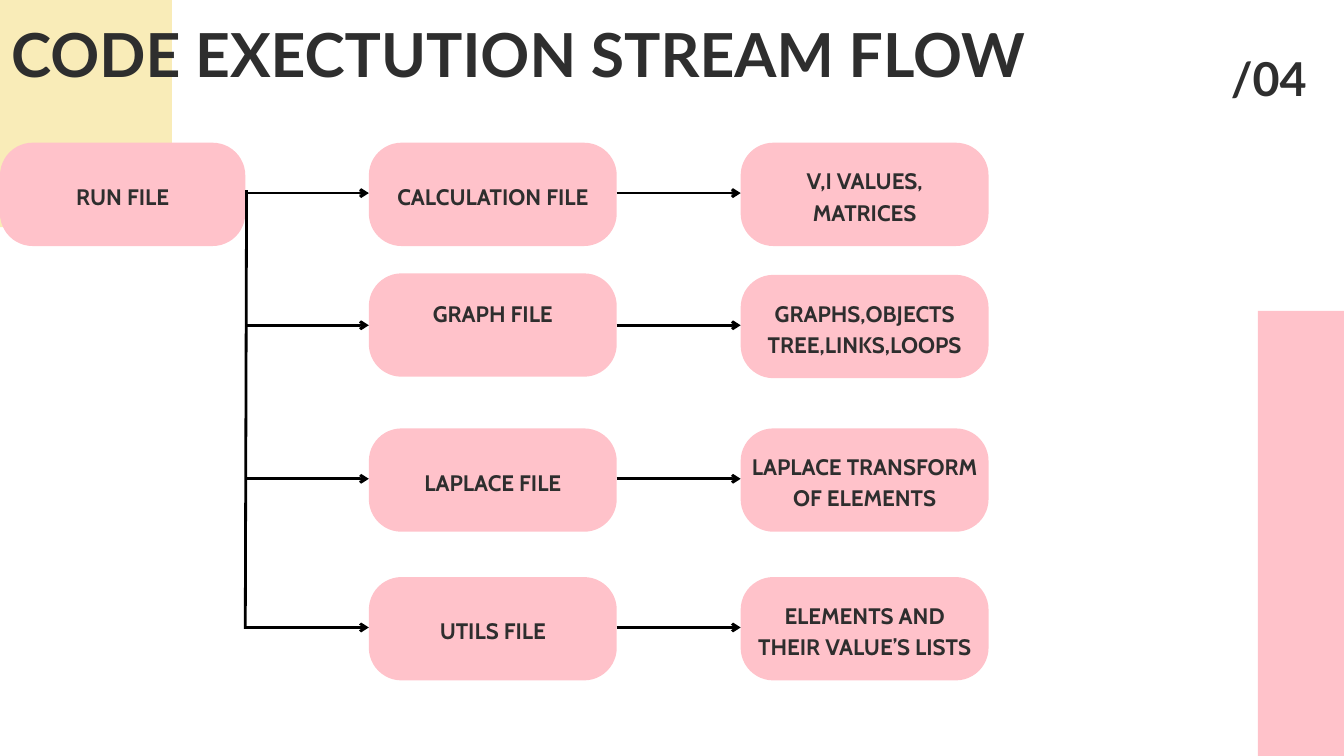
import pptx
import pptx.util
import pptx.dml.color
import pptx.enum.shapes
import pptx.enum.text
import pptx.oxml.ns
import lxml.etree

Pt = pptx.util.Pt
Shape = pptx.enum.shapes.MSO_SHAPE
Align = pptx.enum.text.PP_ALIGN
Anchor = pptx.enum.text.MSO_ANCHOR

COLORS = {"ink": "2E2E2E", "pink": "FFC2CA", "cream": "F9ECB8", "line": "000000"}
FORMATS = {
    "title": {"name": "Lato", "size": Pt(65), "bold": True},
    "page": {"name": "Lato", "size": Pt(50), "bold": True},
    "box": {"name": "Cabin", "size": Pt(24), "bold": True},
}
LEADS = {"title": 91, "page": 70, "box": 33.6}

COLS = (0, 395.2, 793.6)
WIDTH, HEIGHT, RADIUS = 265.6, 110.7, 35
RUN_WIDTH = 262.8
PORT = 54  # drop from the top of a box to its arrow
# top of file box, top of result box, file, result lines, room under file label
ROWS = (
    (152.9, 152.9, "CALCULATION FILE", ("V,I VALUES,", "MATRICES"), 0),
    (292.9, 294.5, "GRAPH FILE", ("GRAPHS,OBJECTS", "TREE,LINKS,LOOPS"), 29),
    (459, 459, "LAPLACE FILE", ("LAPLACE TRANSFORM", "OF ELEMENTS"), 0),
    (618.3, 618.3, "UTILS FILE", ("ELEMENTS AND", "THEIR VALUE’S LISTS"), 0),
)


def color(key):
    return pptx.dml.color.RGBColor.from_string(COLORS[key])


def write(shape, lines, style, align, anchor=Anchor.TOP, below=0):
    frame = shape.text_frame
    frame.text = "\n".join(lines)
    settings = {
        "margin_left": 0, "margin_right": 0, "margin_top": 0,
        "margin_bottom": Pt(below), "word_wrap": False,
        "auto_size": pptx.enum.text.MSO_AUTO_SIZE.NONE,
        "vertical_anchor": anchor,
    }
    for key, value in settings.items():
        setattr(frame, key, value)
    for para in frame.paragraphs:
        para.alignment = align
        para.line_spacing = Pt(LEADS[style])
        para.space_before = Pt(0)
        for run in para.runs:
            for key, value in FORMATS[style].items():
                setattr(run.font, key, value)
            run.font.color.rgb = color("ink")


def add_block(slide, kind, fill, left, top, width, height):
    shape = slide.shapes.add_shape(kind, Pt(left), Pt(top), Pt(width), Pt(height))
    shape.shadow.inherit = False
    shape.fill.solid()
    shape.fill.fore_color.rgb = color(fill)
    shape.line.fill.background()
    return shape


def add_box(slide, left, top, lines, width=WIDTH, below=0):
    box = add_block(slide, Shape.ROUNDED_RECTANGLE, "pink", left, top, width, HEIGHT)
    box.adjustments[0] = RADIUS / HEIGHT
    write(box, lines, "box", Align.CENTER, Anchor.MIDDLE, below)


def add_line(slide, start, end, arrow=False):
    line = slide.shapes.add_connector(
        pptx.enum.shapes.MSO_CONNECTOR.STRAIGHT, *map(Pt, start + end))
    line.line.color.rgb = color("line")
    line.line.width = Pt(3)
    qn = pptx.oxml.ns.qn
    props = line.element.spPr
    if arrow:
        lxml.etree.SubElement(props.find(qn("a:ln")), qn("a:tailEnd"), type="arrow")
    lxml.etree.SubElement(props, qn("a:effectLst"))


def add_title(slide, text):
    """Fill the title and bring it in front of the blocks drawn so far."""
    title = slide.shapes.title
    place = {"left": 12, "top": 5, "width": 1110, "height": 91}
    for key, value in place.items():
        setattr(title, key, Pt(value))
    write(title, [text], "title", Align.LEFT)
    title.element.getparent().append(title.element)


def add_page(slide, text):
    page = slide.shapes.add_textbox(Pt(1294.6), Pt(43.2), Pt(129.6), Pt(70))
    write(page, [text], "page", Align.CENTER)


def add_flow(slide):
    _, file_left, result_left = COLS
    add_box(slide, COLS[0], ROWS[0][0], ["RUN FILE"], RUN_WIDTH)
    for top, result_top, file, result, below in ROWS:
        add_box(slide, file_left, top, [file], below=below)
        add_box(slide, result_left, result_top, result)
        y = result_top + PORT
        for start, end in ((RUN_WIDTH, file_left), (file_left + WIDTH, result_left)):
            add_line(slide, (start, y), (end, y), arrow=True)
    add_line(slide, (RUN_WIDTH, 673.8), (264.2, 203.8))


def main():
    deck = pptx.Presentation()
    deck.slide_width, deck.slide_height = Pt(1440), Pt(810)
    slide = deck.slides.add_slide(deck.slide_layouts[5])
    add_block(slide, Shape.RECTANGLE, "cream", 0, 0, 184.3, 243.4)
    add_block(slide, Shape.RECTANGLE, "pink", 1347.8, 333, 92.2, 477)
    add_page(slide, "/04")
    add_title(slide, "CODE EXECTUTION STREAM FLOW")
    add_flow(slide)
    deck.save("out.pptx")


if __name__ == "__main__":
    main()
